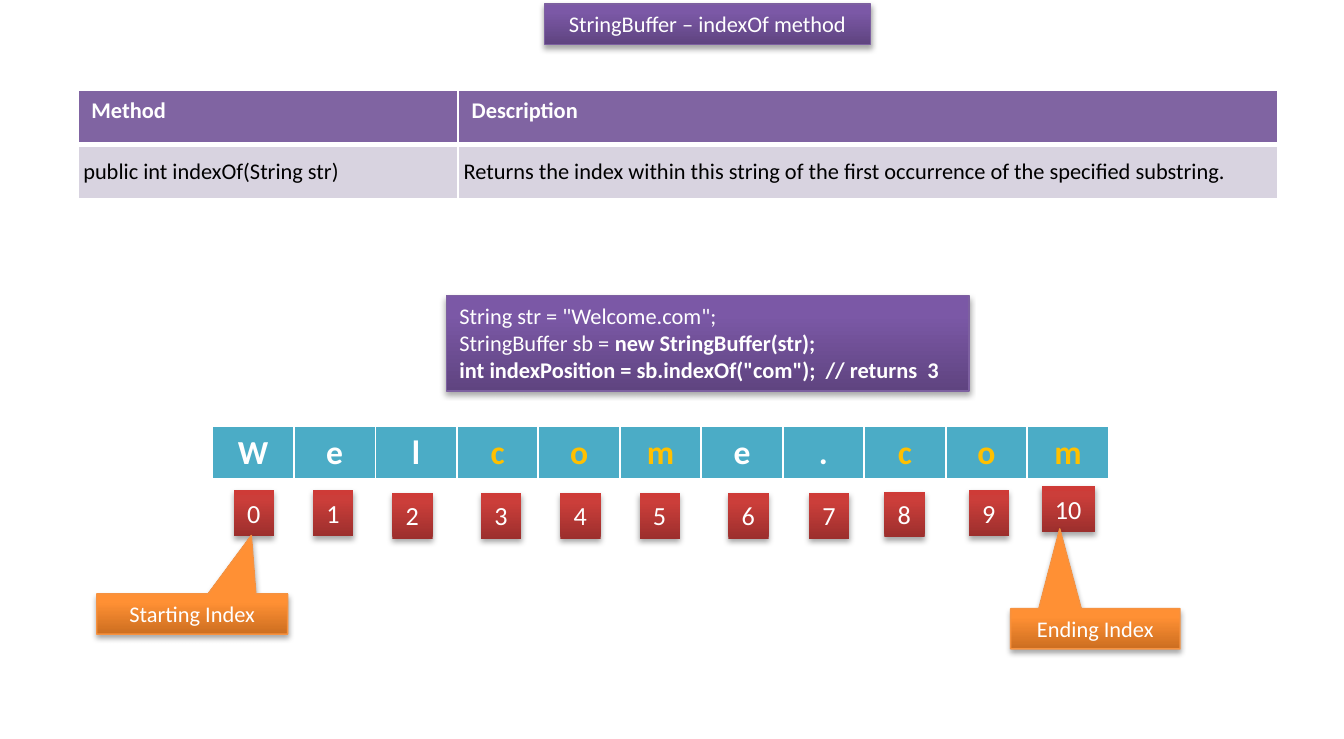
"""Build a slide that explains the indexOf method of StringBuffer."""
from copy import deepcopy
from dataclasses import dataclass

from lxml.etree import SubElement
from pptx import Presentation
from pptx.dml.color import RGBColor
from pptx.enum.shapes import MSO_SHAPE as Preset
from pptx.enum.text import MSO_ANCHOR as Anchor, MSO_AUTO_SIZE as AutoSize, PP_ALIGN as Align
from pptx.oxml.ns import qn
from pptx.util import Inches, Pt

WHITE, BLACK, GOLD = "FFFFFF", "000000", "FFC000"
VIOLET, LILAC, TEAL = "8064A2", "D8D3E0", "4BACC6"


@dataclass(frozen=True)
class Theme:
    stops: tuple[str, str, str]
    line: str | None = None


@dataclass(frozen=True)
class Panel:
    place: tuple[float, float, float, float]
    theme: Theme
    lines: tuple[tuple[tuple[str, bool], ...], ...]
    size: int = 12
    align: Align = Align.LEFT
    wrap: bool = True
    pointer: tuple[float, float] | None = None


@dataclass(frozen=True)
class CellStyle:
    fill: str
    color: str
    size: int = 12
    bold: bool = False
    align: Align = Align.LEFT
    margin: float | None = None
    top: int = 1
    bottom: int = 1


PURPLE = Theme(("5F4480", "7B58A6", "7C57A8"), "7D60A0")
RED = Theme(("9C2F2D", "CB3E3A", "CE3B37"))
ORANGE = Theme(("CC6E20", "FF9034", "FF9136"), "F69240")

HEADER = CellStyle(VIOLET, WHITE, bold=True, bottom=3)
BODY = CellStyle(LILAC, BLACK, margin=0.04, top=3)
WORD = "Welcome.com"
TARGET = "com"
BADGES = ((1.74, 3.65), (2.33, 3.65), (2.92, 3.67), (3.58, 3.67), (4.17, 3.67), (4.76, 3.67),
          (5.42, 3.67), (6.02, 3.67), (6.58, 3.66), (7.21, 3.65), (7.75, 3.62))

TITLE = Panel((4.05, 0.03, 2.43, 0.3), PURPLE,
              ((("StringBuffer – indexOf method", False),),), align=Align.CENTER)
CODE = Panel((3.32, 2.2, 3.89, 0.71), PURPLE, (
    (('String str = "Welcome.com";', False),),
    (("StringBuffer sb = ", False), ("new StringBuffer(str);", True)),
    (('int indexPosition = sb.indexOf("com");  // returns  3', True),),
))
CALLOUTS = (
    Panel((0.72, 4.42, 1.42, 0.3), ORANGE, ((("Starting Index", False),),),
          align=Align.CENTER, pointer=(0.31, -1.95)),
    Panel((7.52, 4.53, 1.26, 0.3), ORANGE, ((("Ending Index", False),),),
          align=Align.CENTER, pointer=(-0.21, -2.48)),
)


def rgb(value: str) -> RGBColor:
    return RGBColor.from_string(value)


def set_font(font, size: int, color: str) -> None:
    font.name = "Calibri"
    font.size = Pt(size)
    font.color.rgb = rgb(color)


def add_color(parent, value: str):
    return SubElement(parent, qn("a:srgbClr"), val=value)


def paint_gradient(shape, colors: tuple[str, str, str]) -> None:
    shape.fill.gradient()
    shape.fill.gradient_angle = 90
    stop_list = shape._element.spPr.find(".//" + qn("a:gsLst"))
    stop_list.append(deepcopy(stop_list[-1]))
    for stop, color, position in zip(shape.fill.gradient_stops, colors, (0, 0.8, 1)):
        stop.color.rgb = rgb(color)
        stop.position = position


def add_shadow(shape) -> None:
    shape.shadow.inherit = False
    effects = shape._element.spPr.find(qn("a:effectLst"))
    shadow = SubElement(effects, qn("a:outerShdw"), blurRad=str(Pt(3.1)), dist=str(Pt(1.8)),
                        dir="5400000", rotWithShape="0")
    SubElement(add_color(shadow, BLACK), qn("a:alpha"), val="35000")


def draw_panel(page, panel: Panel) -> None:
    preset = Preset.RECTANGULAR_CALLOUT if panel.pointer else Preset.RECTANGLE
    shape = page.shapes.add_shape(preset, *map(Inches, panel.place))
    paint_gradient(shape, panel.theme.stops)
    if panel.theme.line:
        shape.line.color.rgb = rgb(panel.theme.line)
        shape.line.width = Pt(0.75)
    else:
        shape.line.fill.background()
    add_shadow(shape)
    box = shape.text_frame
    box.word_wrap = panel.wrap
    if panel.pointer:
        shape.adjustments[0], shape.adjustments[1] = panel.pointer
        box.vertical_anchor = Anchor.MIDDLE
    else:
        box.vertical_anchor = Anchor.TOP
        box.auto_size = AutoSize.SHAPE_TO_FIT_TEXT
    for number, spans in enumerate(panel.lines):
        para = box.add_paragraph() if number else box.paragraphs[0]
        para.alignment = panel.align
        set_font(para.font, panel.size, WHITE)
        for text, bold in spans:
            span = para.add_run()
            span.text = text
            span.font.bold = bold


def fill_cell(cell, text: str, style: CellStyle) -> None:
    properties = cell._tc.get_or_add_tcPr()
    for side, width in (("L", 1), ("R", 1), ("T", style.top), ("B", style.bottom)):
        border = SubElement(properties, qn(f"a:ln{side}"), w=str(Pt(width)))
        add_color(SubElement(border, qn("a:solidFill")), WHITE)
    cell.fill.solid()
    cell.fill.fore_color.rgb = rgb(style.fill)
    if style.margin is not None:
        cell.vertical_anchor = Anchor.MIDDLE
        cell.margin_left = cell.margin_right = Inches(style.margin)
        cell.margin_top = cell.margin_bottom = Inches(style.margin)
    cell.text = text
    para = cell.text_frame.paragraphs[0]
    para.alignment = style.align
    set_font(para.font, style.size, style.color)
    para.font.bold = style.bold


def draw_table(page, left: float, top: float, widths: list[float],
               rows: list[list[tuple[str, CellStyle]]]) -> None:
    height = 0.405
    table = page.shapes.add_table(len(rows), len(widths), Inches(left), Inches(top),
                                  Inches(sum(widths)), Inches(height * len(rows))).table
    for column, width in zip(table.columns, widths):
        column.width = Inches(width)
    for row, entries in zip(table.rows, rows):
        for cell, (text, style) in zip(row.cells, entries):
            fill_cell(cell, text, style)


def letter_cells() -> list[tuple[str, CellStyle]]:
    matches = {start + step for start in range(len(WORD)) if WORD.startswith(TARGET, start)
               for step in range(len(TARGET))}
    return [(letter, CellStyle(TEAL, GOLD if index in matches else WHITE, 18, True,
                               Align.CENTER, bottom=3))
            for index, letter in enumerate(WORD)]


def main() -> None:
    deck = Presentation()
    deck.slide_width, deck.slide_height = Inches(10), Inches(5.5)
    page = deck.slides.add_slide(deck.slide_layouts[6])
    draw_panel(page, TITLE)
    draw_table(page, 0.58, 0.67, [2.83, 6.1], [
        [("Method", HEADER), ("Description", HEADER)],
        [("public int indexOf(String str)", BODY),
         ("Returns the index within this string of the first occurrence "
          "of the specified substring.", BODY)],
    ])
    draw_table(page, 1.58, 3.17, [6.67 / len(WORD)] * len(WORD), [letter_cells()])
    for index, (left, top) in enumerate(BADGES):
        label = str(index)
        draw_panel(page, Panel((left, top, 0.2 + 0.1 * len(label), 0.34), RED,
                               (((label, False),),), size=14, wrap=False))
    for panel in (*CALLOUTS, CODE):
        draw_panel(page, panel)
    deck.save("out.pptx")


if __name__ == "__main__":
    main()
